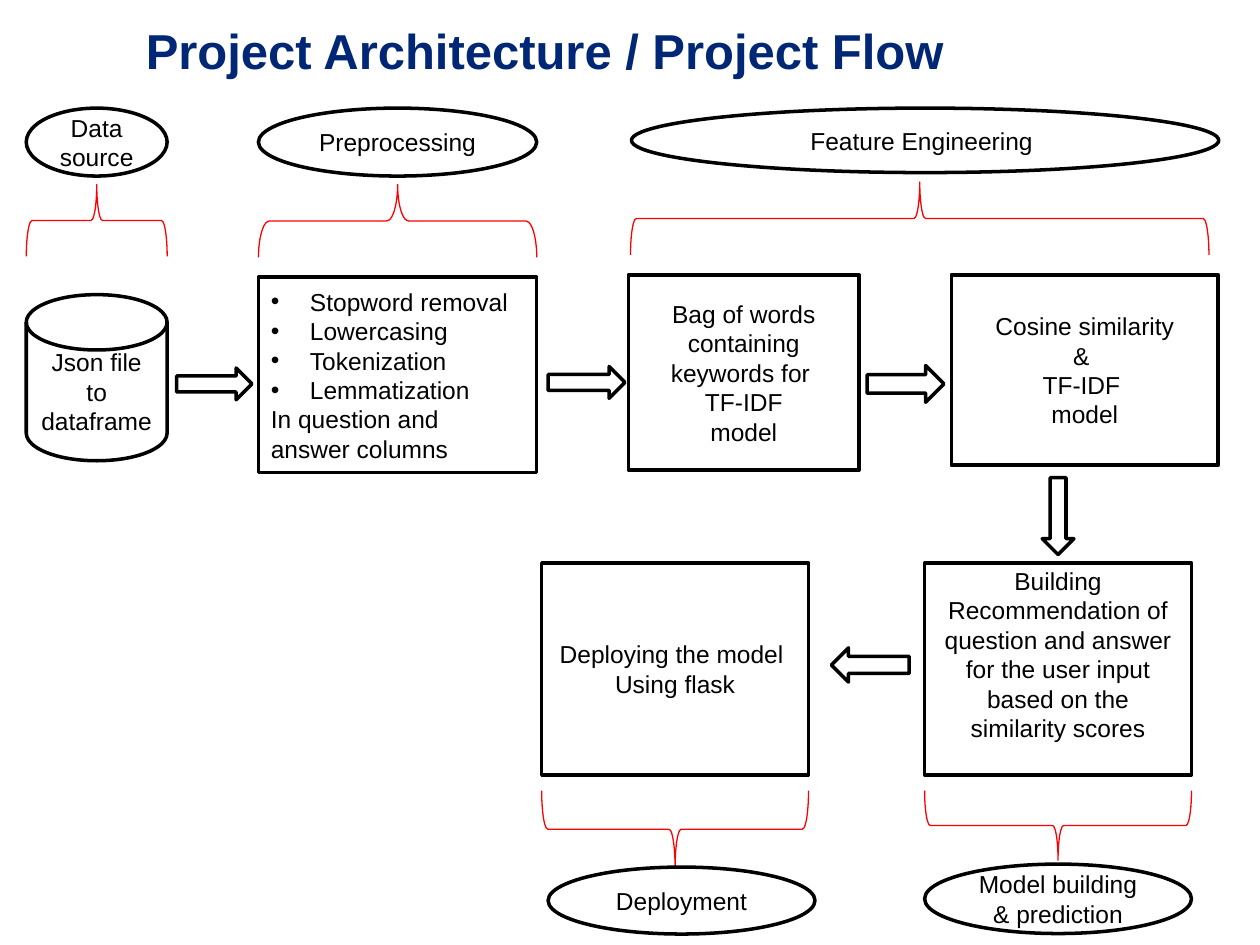
from lxml import etree
from pptx import Presentation
from pptx.dml.color import RGBColor
from pptx.enum.shapes import MSO_SHAPE
from pptx.enum.text import MSO_ANCHOR, PP_ALIGN
from pptx.oxml.ns import qn
from pptx.util import Cm, Pt

BLACK, WHITE, RED, NAVY = "000000", "FFFFFF", "FF0000", "002776"

TITLE = "Project Architecture / Project Flow"
STEPS = ["Stopword removal", "Lowercasing", "Tokenization", "Lemmatization"]

# left, top, width, height in cm
BOXES = [
    (MSO_SHAPE.FLOWCHART_MAGNETIC_DISK, (0.53, 5.94, 2.84, 3.35),
     ["Json file to dataframe "]),
    (MSO_SHAPE.RECTANGLE, (12.67, 5.54, 4.65, 3.94),
     ["Bag of words containing keywords for ", "TF-IDF", "model"]),
    (MSO_SHAPE.RECTANGLE, (19.18, 5.54, 5.38, 3.84),
     ["Cosine similarity", "& ", "TF-IDF ", "model"]),
    (MSO_SHAPE.RECTANGLE, (10.92, 11.35, 5.38, 4.27),
     ["Deploying the model ", "Using flask"]),
]
ARROWS = [
    (MSO_SHAPE.RIGHT_ARROW, (3.56, 7.42, 1.52, 0.64)),
    (MSO_SHAPE.RIGHT_ARROW, (11.05, 7.39, 1.55, 0.64)),
    (MSO_SHAPE.RIGHT_ARROW, (17.48, 7.37, 1.55, 0.74)),
    (MSO_SHAPE.DOWN_ARROW, (21.01, 9.63, 0.64, 1.55)),
    (MSO_SHAPE.LEFT_ARROW, (16.76, 13.06, 1.57, 0.69)),
]
# box as seen, rotation, curvature
BRACES = [
    ((5.21, 3.72, 5.61, 1.47), 90, 0.15),
    ((0.53, 3.72, 2.84, 1.45), 90, 0.08),
    ((12.71, 3.67, 11.66, 1.47), 90, 0.08),
    ((18.64, 15.94, 5.38, 1.4), 270, 0.08),
    ((10.92, 15.94, 5.38, 1.55), 270, 0.08),
]
STAGES = [
    ((0.53, 2.18, 2.84, 1.37), ["Data source"]),
    ((5.21, 2.18, 5.61, 1.37), ["Preprocessing"]),
    ((12.73, 2.18, 11.84, 1.3), ["Feature Engineering "]),
    ((18.64, 17.42, 5.38, 1.4), ["Model building", "& prediction"]),
    ((11.05, 17.48, 5.38, 1.35), ["Deployment"]),
]


def rgb(value):
    return RGBColor.from_string(value)


def write(tf, lines, size=14, color=BLACK, bold=False, align=PP_ALIGN.CENTER):
    tf.word_wrap = True
    tf.text = "\n".join(lines)
    for p in tf.paragraphs:
        p.alignment = align
        for r in p.runs:
            r.font.name = "Arial"
            r.font.size = Pt(size)
            r.font.bold = bold
            r.font.color.rgb = rgb(color)


def add_bullet(p):
    pPr = p._p.get_or_add_pPr()
    indent = Cm(0.79)
    pPr.set("marL", str(indent))
    pPr.set("indent", str(-indent))
    etree.SubElement(pPr, qn("a:buFont")).set("typeface", "Arial")
    etree.SubElement(pPr, qn("a:buChar")).set("char", "•")


def add_title(s):
    tf = s.shapes.add_textbox(Cm(1.04), Cm(0.28), Cm(18.44), Cm(1.9)).text_frame
    tf.margin_left = Cm(1.9)
    write(tf, [TITLE], 28, NAVY, True, PP_ALIGN.LEFT)


def add_block(s, kind, box, lines=(), align=PP_ALIGN.CENTER):
    """Add a white shape with a black outline and optional text."""
    sp = s.shapes.add_shape(kind, *map(Cm, box))
    sp.shadow.inherit = False
    sp.fill.solid()
    sp.fill.fore_color.rgb = rgb(WHITE)
    sp.line.color.rgb = rgb(BLACK)
    sp.line.width = Pt(2)
    if lines:
        tf = sp.text_frame
        tf.vertical_anchor = MSO_ANCHOR.MIDDLE
        write(tf, lines, align=align)
    return sp


def add_brace(s, box, rotation, curve):
    """Add a sideways brace that covers box once it is turned."""
    left, top, width, height = box
    shift = (width - height) / 2
    sp = s.shapes.add_shape(MSO_SHAPE.LEFT_BRACE, Cm(left + shift), Cm(top - shift),
                            Cm(height), Cm(width))
    sp.rotation = rotation
    sp.adjustments[0] = curve
    sp.shadow.inherit = False
    sp.fill.background()
    sp.line.color.rgb = rgb(RED)
    sp.line.width = Pt(0.75)


def add_preprocessing(s):
    sp = add_block(s, MSO_SHAPE.RECTANGLE, (5.21, 5.59, 5.61, 3.94),
                   STEPS + ["In question and answer columns"], PP_ALIGN.LEFT)
    for p in sp.text_frame.paragraphs[:len(STEPS)]:
        add_bullet(p)


def add_recommendation(s):
    sp = add_block(s, MSO_SHAPE.RECTANGLE, (18.64, 11.35, 5.38, 4.27),
                   ["Building Recommendation of question and answer for the user "
                    "input based on the similarity scores"])
    sp.text_frame.vertical_anchor = MSO_ANCHOR.TOP
    sp.text_frame.margin_top = Cm(0.06)


def main():
    prs = Presentation()
    prs.slide_width, prs.slide_height = Cm(25.4), Cm(19.05)
    s = prs.slides.add_slide(prs.slide_layouts[6])
    add_title(s)
    for kind, box, lines in BOXES:
        add_block(s, kind, box, lines)
    add_preprocessing(s)
    add_recommendation(s)
    for kind, box in ARROWS:
        add_block(s, kind, box)
    for box, rotation, curve in BRACES:
        add_brace(s, box, rotation, curve)
    for box, lines in STAGES:
        add_block(s, MSO_SHAPE.OVAL, box, lines)
    prs.save("out.pptx")


if __name__ == "__main__":
    main()
